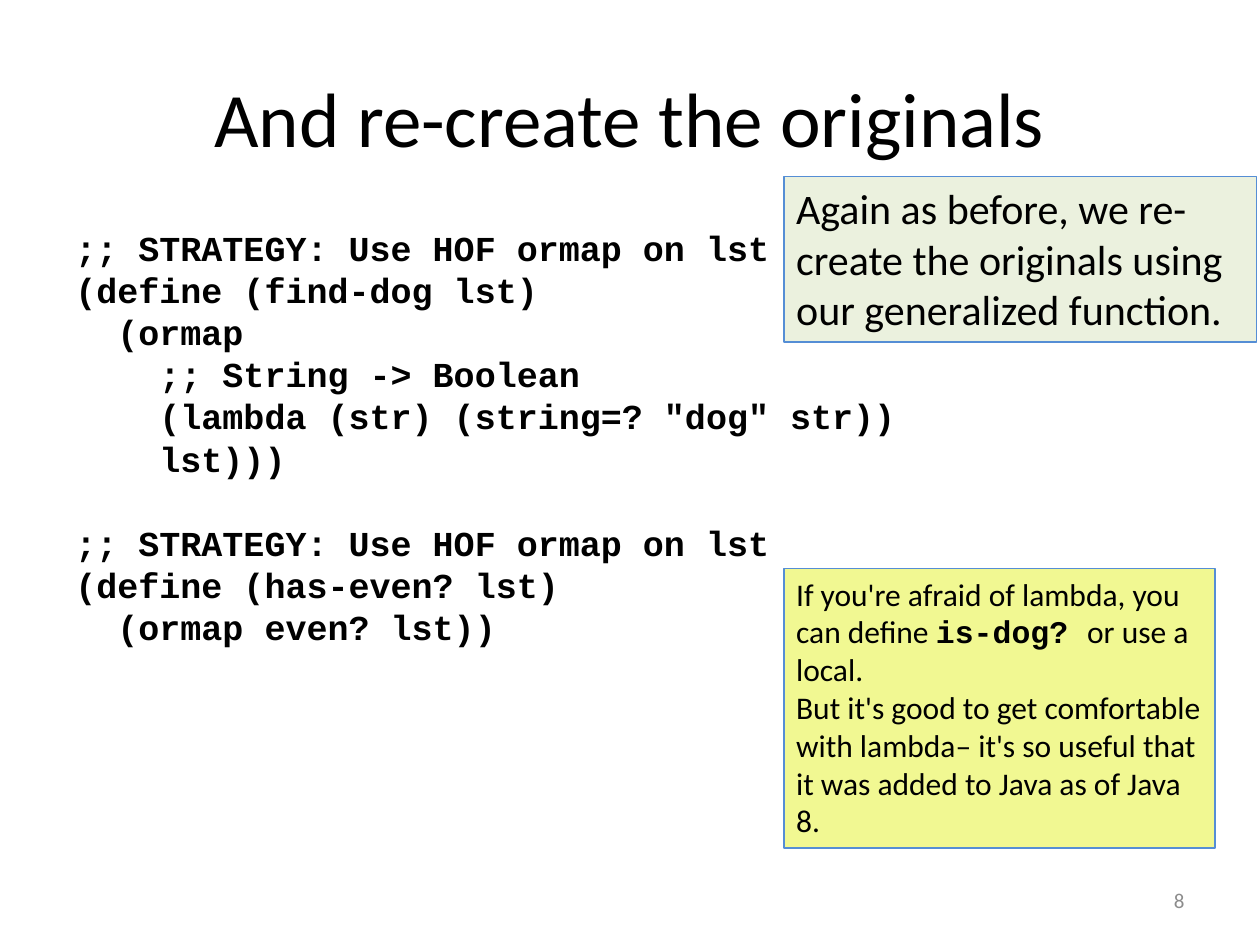
"""Build the slide that re-creates find-dog and has-even? with ormap."""
from pptx import Presentation
from pptx.dml.color import RGBColor
from pptx.enum.shapes import MSO_SHAPE
from pptx.enum.text import MSO_ANCHOR, PP_ALIGN
from pptx.util import Cm, Pt

RECT = MSO_SHAPE.RECTANGLE
TOP, MIDDLE = MSO_ANCHOR.TOP, MSO_ANCHOR.MIDDLE
LEFT, CENTER, RIGHT = PP_ALIGN.LEFT, PP_ALIGN.CENTER, PP_ALIGN.RIGHT

COLORS = {"text": "000000", "number": "8C8C8C", "line": "558ED5",
          "green": "EBF1DE", "yellow": "F1F892"}
BODY, MONO = "Calibri", "Courier New"

TITLE = "And re-create the originals"
FUNCTIONS = [
    [";; STRATEGY: Use HOF ormap on lst",
     "(define (find-dog lst)",
     "  (ormap",
     "    ;; String -> Boolean",
     "    (lambda (str) (string=? \"dog\" str))",
     "    lst)))"],
    [";; STRATEGY: Use HOF ormap on lst",
     "(define (has-even? lst)",
     "  (ormap even? lst))"],
]
RECAP = "Again as before, we re-create the originals using our generalized function."
LAMBDA_NOTE = [
    [("If you're afraid of lambda, you can define ", BODY),
     ("is-dog? ", MONO),
     ("or use a local.", BODY)],
    [("But it's good to get comfortable with lambda– it's so useful that "
      "it was added to Java as of Java 8.", BODY)],
]
NUMBER = "8"
CODE_PITCH = Pt(24)


def rgb(name):
    return RGBColor.from_string(COLORS[name])


def add_text(s, paragraphs, box, size, color="text", align=LEFT, anchor=TOP,
             fill=None, pitch=None, gaps=()):
    box = [Cm(v) for v in box]
    if fill:
        sp = s.shapes.add_shape(RECT, *box)
        sp.shadow.inherit = False
        sp.fill.solid()
        sp.fill.fore_color.rgb = rgb(fill)
        sp.line.color.rgb = rgb("line")
        sp.line.width = Pt(1)
    else:
        sp = s.shapes.add_textbox(*box)
    tf = sp.text_frame
    tf.word_wrap = True
    tf.vertical_anchor = anchor
    for i, runs in enumerate(paragraphs):
        p = tf.add_paragraph() if i else tf.paragraphs[0]
        p.alignment = align
        if pitch:
            p.line_spacing = pitch
        if i in gaps:
            p.space_before = pitch
        for text, font in runs:
            r = p.add_run()
            r.text = text
            r.font.name = font
            r.font.size = Pt(size)
            r.font.bold = font == MONO
            r.font.color.rgb = rgb(color)
    return sp


def main():
    prs = Presentation()
    prs.slide_width, prs.slide_height = Cm(25.4), Cm(19.05)
    s = prs.slides.add_slide(prs.slide_layouts[6])

    add_text(s, [[(TITLE, BODY)]], (1.27, 0.76, 22.86, 3.18), 44,
             align=CENTER, anchor=MIDDLE)
    code = [[(line, MONO)] for lines in FUNCTIONS for line in lines]
    add_text(s, code, (1.27, 4.45, 22.86, 12.57), 20,
             pitch=CODE_PITCH, gaps=[len(FUNCTIONS[0])])
    add_text(s, [[(NUMBER, BODY)]], (18.2, 17.65, 5.93, 1.01), 12,
             color="number", align=RIGHT, anchor=MIDDLE)
    add_text(s, [[(RECAP, BODY)]], (15.8, 3.56, 9.53, 3.33), 24, fill="green")
    add_text(s, LAMBDA_NOTE, (15.8, 11.46, 8.69, 5.64), 18, fill="yellow")

    prs.save("out.pptx")


if __name__ == "__main__":
    main()
